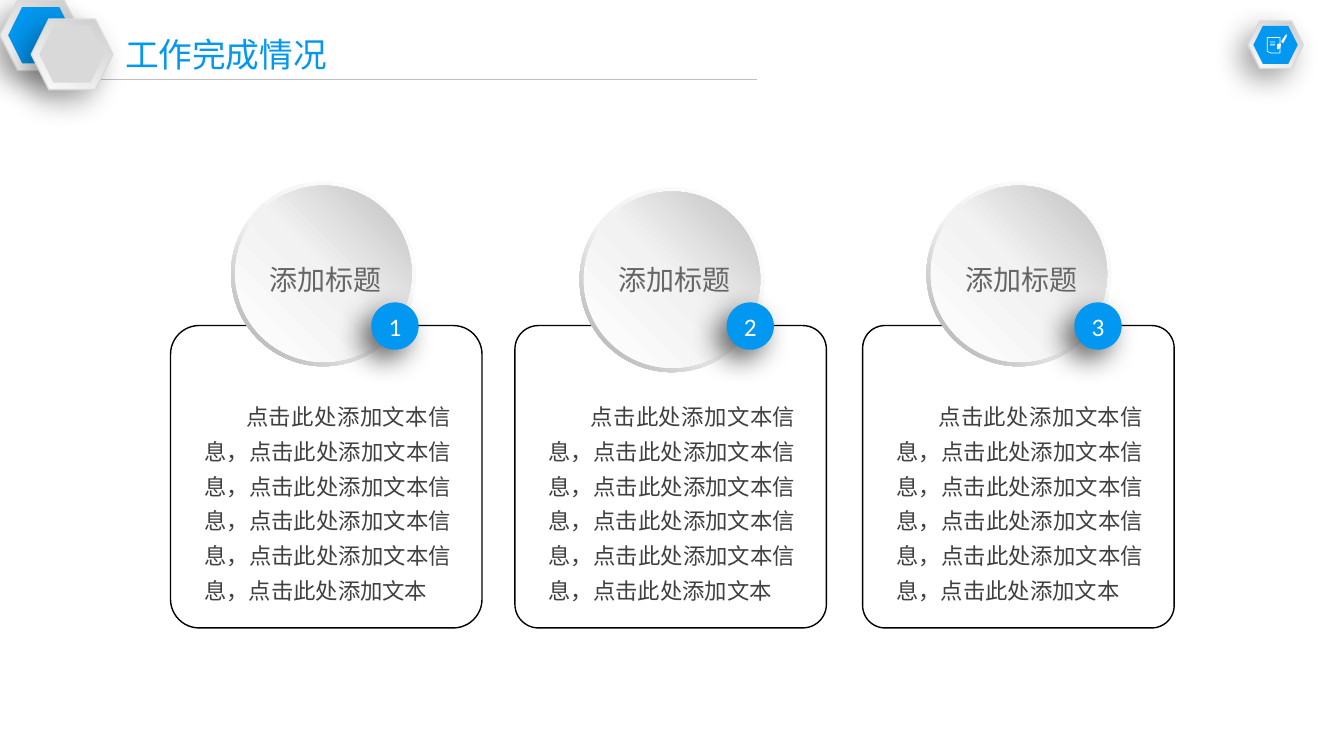
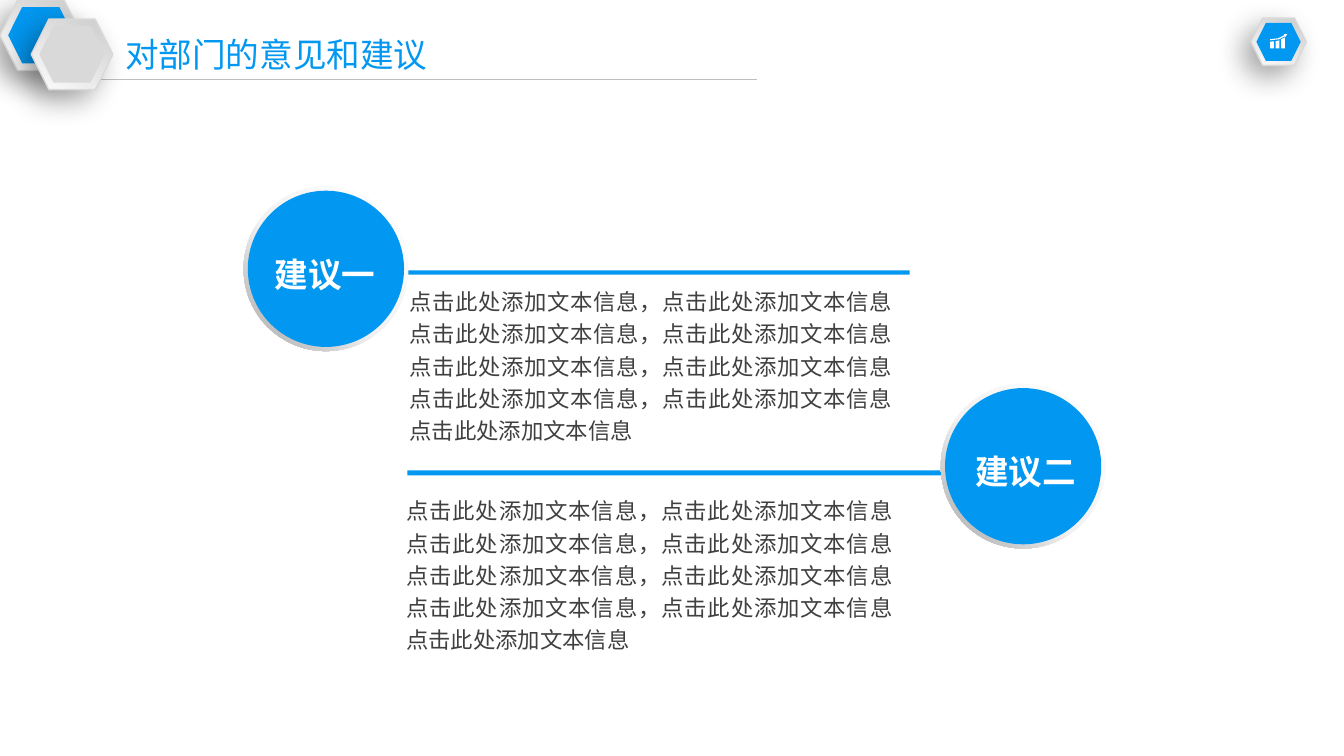
from lxml.etree import SubElement
from pptx import Presentation
from pptx.dml.color import RGBColor
from pptx.enum.shapes import MSO_CONNECTOR, MSO_SHAPE
from pptx.enum.text import MSO_ANCHOR, MSO_AUTO_SIZE, PP_ALIGN
from pptx.oxml.ns import qn
from pptx.util import Emu, Pt

COLS, ROWS, CELL = 160, 90, 76200
BLUE, WHITE, SILVER, RULE = "0297F0", "FFFFFF", "D9D9D9", "BFBFBF"
CJK = "Noto Sans CJK SC"
BEZEL = ([(0, "CCCCCC"), (100, "FCFCFC")], 120)
RING = ([(0, WHITE), (55, "F2F2F2"), (100, "A6A6A6")], 135)
FACE = ([(0, WHITE), (51, "F2F2F2"), (100, RULE)], 315)
TITLE = dict(size=24, color=BLUE)
LABEL = dict(size=20, color="666666")
BOLD_LABEL = dict(size=24, color=WHITE, bold=True)
BODY = dict(size=16, color="404040")
NUMBER = dict(size=18, color=WHITE, name="Calibri")
PHRASE = "点击此处添加文本信息"


def rgb(value):
    return RGBColor.from_string(value)


def cells(*values):
    return [Emu(round(v * CELL)) for v in values]


class Deck:
    def __init__(self):
        self.prs = Presentation()
        self.prs.slide_width, self.prs.slide_height = cells(COLS, ROWS)
        self.layout = self.prs.slide_layouts[5]
        for ph in list(self.layout.placeholders):
            if ph.placeholder_format.idx >= 10:
                self.layout.shapes.element.remove(ph.element)
        self.s = None

    def slide(self, title):
        first = self.s is None
        self.s = self.prs.slides.add_slide(self.layout)
        if first:
            self.header()
        sp = self.s.shapes.title
        sp.left, sp.top, sp.width, sp.height = cells(13.7, 3.4, 76, 6)
        self.put_text(sp, title, TITLE, dict(alignment=PP_ALIGN.LEFT))

    def header(self):
        self.line(9.72, 9.48, 90.12, 9.48)
        self.badge(0, 0, 9.72, 8.4, BLUE)
        self.badge(3.72, 2.28, 9.72, 8.4, SILVER)
        for sp in list(self.s.shapes):
            if not sp.is_placeholder:
                self.layout.shapes.element.insert_element_before(sp.element, "p:extLst")

    def line(self, x1, y1, x2, y2):
        sp = self.s.shapes.add_connector(MSO_CONNECTOR.STRAIGHT, *cells(x1, y1, x2, y2))
        sp.line.color.rgb = rgb(RULE)
        sp.line.width = Pt(1)
        SubElement(sp.element.spPr, qn("a:effectLst"))

    def paint(self, sp, fill=None, line=None, width=1, shadow=None):
        if fill is None:
            sp.fill.background()
        elif isinstance(fill, str):
            sp.fill.solid()
            sp.fill.fore_color.rgb = rgb(fill)
        else:
            self.gradient(sp, *fill)
        if line:
            sp.line.color.rgb = rgb(line)
            sp.line.width = Pt(width)
        else:
            sp.line.fill.background()
        sp.shadow.inherit = False
        if shadow:
            self.cast(sp, shadow)
        return sp

    def gradient(self, sp, stops, angle):
        sp.fill.gradient()
        sp.fill.gradient_angle = 360 - angle
        gs_list = sp.element.spPr.find(".//" + qn("a:gsLst"))
        for gs in list(gs_list):
            gs_list.remove(gs)
        for pos, color in stops:
            gs = SubElement(gs_list, qn("a:gs"), pos=str(pos * 1000))
            SubElement(gs, qn("a:srgbClr"), val=color)

    def cast(self, sp, alpha):
        effects = sp.element.spPr.find(qn("a:effectLst"))
        shadow = SubElement(effects, qn("a:outerShdw"), blurRad=str(Pt(20)), dist=str(Pt(10)),
                            dir=str(135 * 60000), algn="tr", rotWithShape="0")
        color = SubElement(shadow, qn("a:srgbClr"), val="000000")
        SubElement(color, qn("a:alpha"), val=str(alpha * 1000))

    def shape(self, kind, x, y, w, h, adj=None, **style):
        sp = self.s.shapes.add_shape(kind, *cells(x, y, w, h))
        if adj is not None:
            sp.adjustments[0] = adj
        return self.paint(sp, **style)

    def polygon(self, x, y, points, **style):
        start, *rest = [cells(x + dx, y + dy) for dx, dy in points]
        builder = self.s.shapes.build_freeform(*start)
        builder.add_line_segments(rest)
        return self.paint(builder.convert_to_shape(), **style)

    def put_text(self, sp, text, font, para=None, frame=None, indent=0):
        tf = sp.text_frame
        settings = dict(auto_size=MSO_AUTO_SIZE.NONE, word_wrap=True, vertical_anchor=MSO_ANCHOR.TOP)
        for key, value in {**settings, **(frame or {})}.items():
            setattr(tf, key, value)
        p = tf.paragraphs[0]
        for key, value in (para or {}).items():
            setattr(p, key, value)
        if indent:
            p._p.get_or_add_pPr().set("indent", str(cells(indent)[0]))
        r = p.add_run()
        r.text = text
        values = {"name": CJK, **font, "size": Pt(font["size"])}
        r.font.color.rgb = rgb(values.pop("color"))
        for key, value in values.items():
            setattr(r.font, key, value)
        SubElement(r._r.get_or_add_rPr(), qn("a:ea"), typeface=values["name"])

    def text(self, x, y, w, h, text, font, **options):
        sp = self.s.shapes.add_textbox(*cells(x, y, w, h))
        self.put_text(sp, text, font, **options)

    def body(self, x, y, w, h, text, spacing, inset=(0, 0), indent=0):
        dx, dy = cells(*inset)
        self.text(x, y, w, h, text, BODY, indent=indent,
                  para=dict(alignment=PP_ALIGN.JUSTIFY, line_spacing=spacing),
                  frame=dict(margin_left=dx, margin_right=dx, margin_top=dy, margin_bottom=dy))

    def badge(self, x, y, w, h, fill):
        self.shape(MSO_SHAPE.HEXAGON, x, y, w, h, fill=BEZEL, line=SILVER, shadow=34)
        self.shape(MSO_SHAPE.HEXAGON, x + w * 0.1, y + h * 0.1, w * 0.8, h * 0.8, fill=fill)

    def disc(self, x, y, size, fill):
        self.shape(MSO_SHAPE.DONUT, x, y, size, size, adj=0.049, fill=RING)
        self.shape(MSO_SHAPE.OVAL, x + 0.5, y + 0.5, size - 1, size - 1, fill=fill)

    def number(self, x, y, text):
        sp = self.shape(MSO_SHAPE.OVAL, x, y, 5.64, 5.64, fill=BLUE, shadow=60)
        self.put_text(sp, text, NUMBER, dict(alignment=PP_ALIGN.CENTER),
                      dict(vertical_anchor=MSO_ANCHOR.MIDDLE, margin_left=0, margin_right=0))

    def note_icon(self, x, y):
        self.badge(x, y, 6.6, 5.64, BLUE)
        page = [(2.3, 1.95), (3.82, 1.95), (3.82, 3.8), (2.76, 3.8), (2.3, 3.6)]
        pencil = [(4.56, 1.56), (3.96, 2.4), (4.2, 2.64), (4.68, 1.68)]
        tip = [(3.84, 2.64), (3.48, 2.76), (3.48, 3.36), (3.84, 3.24), (3.96, 2.76)]
        self.polygon(x, y, page, line=WHITE, width=0.5)
        for points in (pencil, tip):
            self.polygon(x, y, points, fill=WHITE)
        for i in range(4):
            self.shape(MSO_SHAPE.RECTANGLE, x + 2.64, y + 2.4 + i * 0.17, 0.6, 0.05, fill=WHITE)

    def chart_icon(self, x, y):
        self.badge(x, y, 6.6, 5.64, BLUE)
        arrow = [(3.96, 1.92), (3.96, 2.04), (3.24, 2.4), (2.28, 2.52), (2.28, 2.64),
                 (3.36, 2.52), (4.08, 2.16), (4.08, 2.28), (4.32, 1.92)]
        self.polygon(x, y, arrow, fill=WHITE)
        for left, low, high in ((2.28, 2.82, 2.76), (2.94, 2.76, 2.64), (3.6, 2.52, 2.28)):
            bar = [(left, 3.6), (left, low), (left + 0.46, high), (left + 0.46, 3.6)]
            self.polygon(x, y, bar, fill=WHITE)


def completed_work(deck):
    deck.slide("工作完成情况")
    deck.note_icon(148.56, 2.52)
    details = (PHRASE + "，") * 5 + "点击此处添加文本"
    cards = [(20.3, 27.5, 21.6, 44.2, 0.095),
             (61.3, 69, 22.3, 86.5, 0.078),
             (102.7, 110.3, 21.6, 127.9, 0.074)]
    for i, (card_x, disc_x, disc_y, number_x, corner) in enumerate(cards, 1):
        deck.shape(MSO_SHAPE.ROUNDED_RECTANGLE, card_x, 38.76, 37.08, 36, adj=corner, line="000000")
        deck.disc(disc_x, disc_y, 22, FACE)
        deck.number(number_x, 36, str(i))
        deck.text(disc_x + 3.4, 30.72, 15.84, 5.28, "添加标题", LABEL, frame=dict(word_wrap=False))
        deck.body(card_x + 4, 47, 29.4, 25.2, details, 1.3, indent=5)


def suggestions(deck):
    deck.slide("对部门的意见和建议")
    deck.chart_icon(148.92, 2.16)
    details = (PHRASE + "，" + PHRASE) * 4 + PHRASE
    items = [("建议一", (29, 22.2), 2.5, (44.8, 32.2, 63.5, 0.5), (47.8, 33.2, 59.5, 20.3)),
             ("建议二", (112, 45.7), 2.9, (48.5, 56, 65.5, 0.6), (47.4, 58.1, 59.9, 20.3))]
    for label, (x, y), shift, bar, box in items:
        deck.shape(MSO_SHAPE.RECTANGLE, *bar, fill=BLUE)
        deck.body(*box, details, 1.2, inset=(0.96, 0.48))
        deck.disc(x, y, 19.6, BLUE)
        deck.text(x + shift, y + 7.4, 15.5, 6, label, BOLD_LABEL)


def main():
    deck = Deck()
    completed_work(deck)
    suggestions(deck)
    deck.prs.save("out.pptx")


if __name__ == "__main__":
    main()
